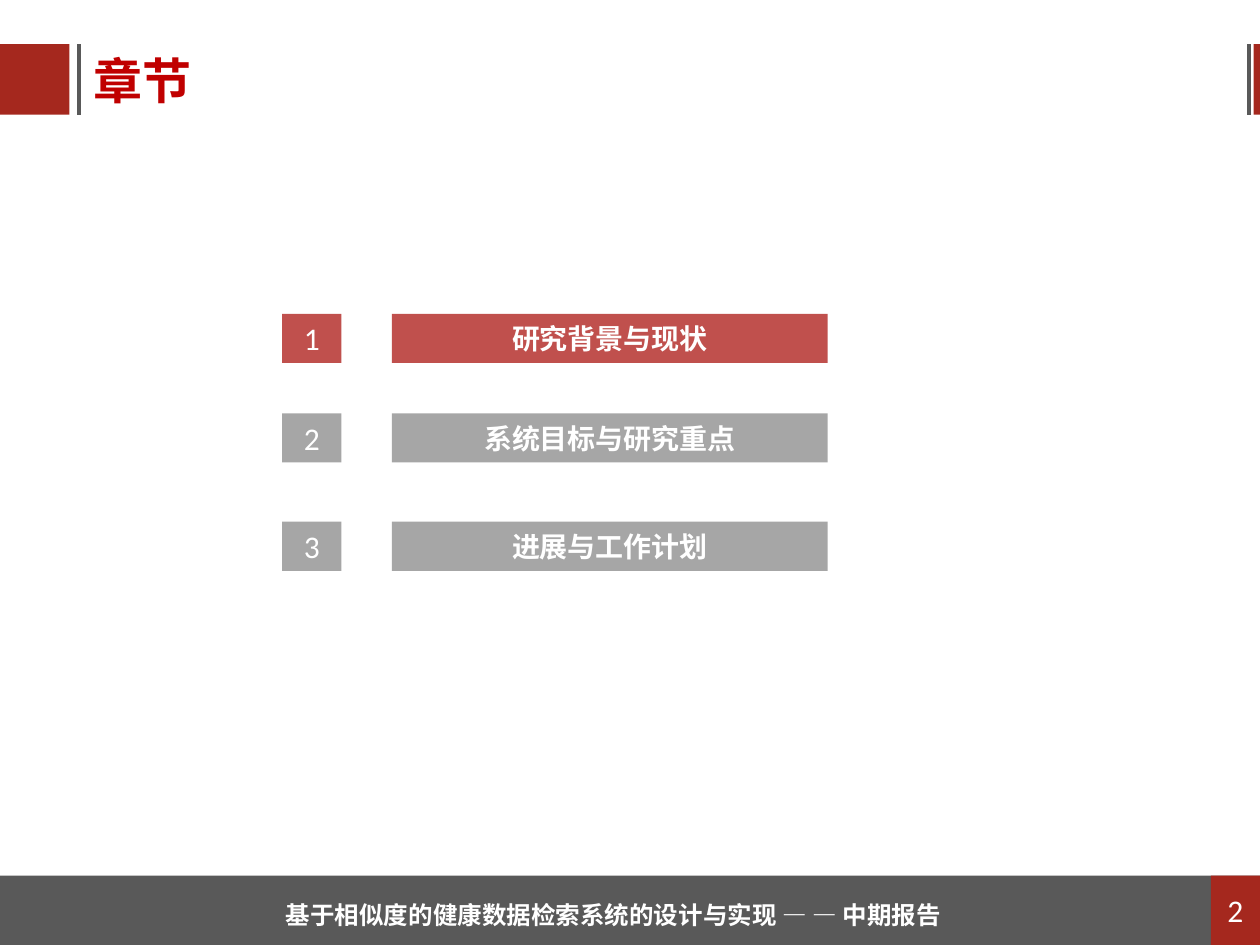
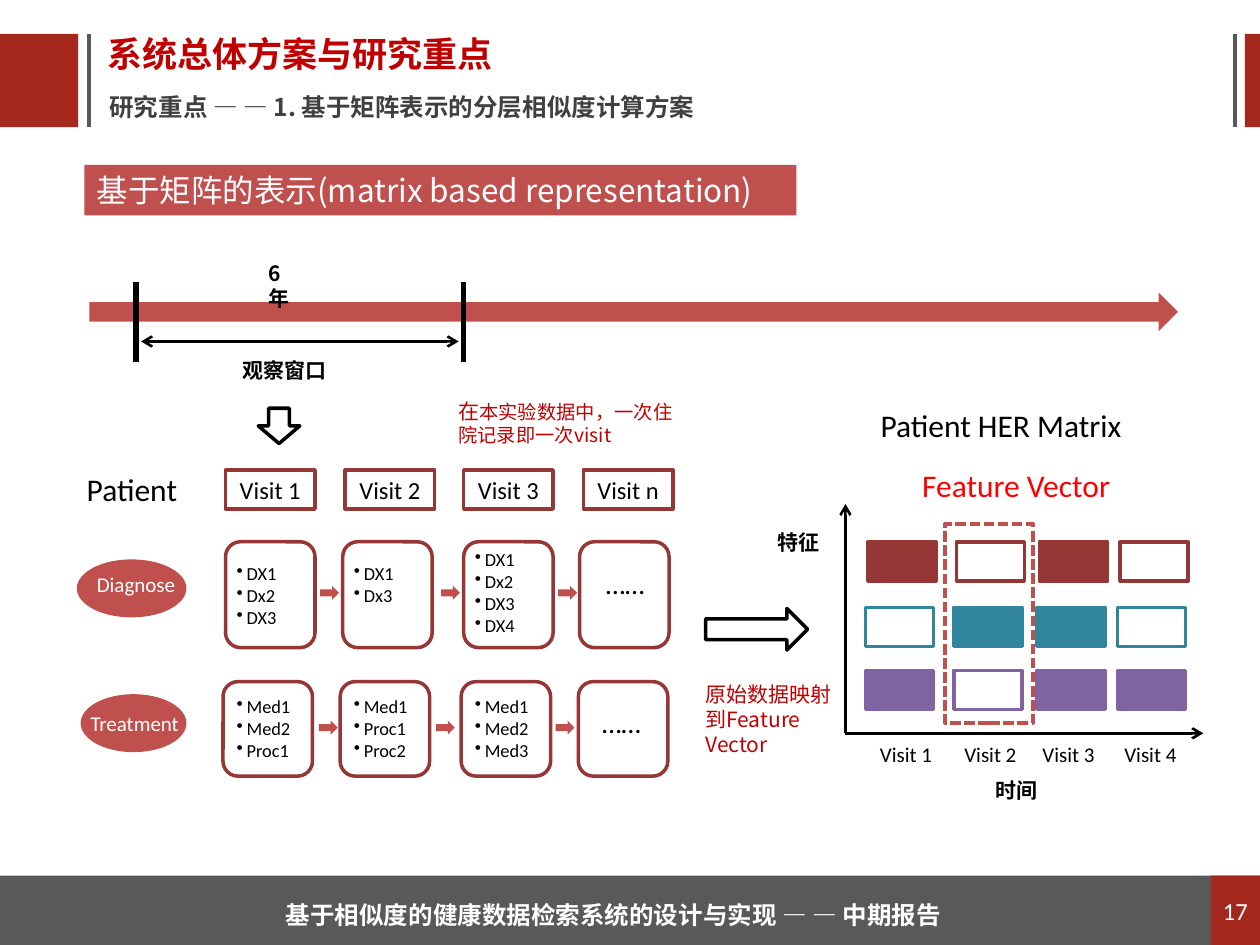
from dataclasses import dataclass
from typing import NamedTuple, Optional

import lxml.etree
import pptx
import pptx.dml.color
import pptx.enum.dml
import pptx.enum.shapes
import pptx.enum.text
import pptx.oxml.ns
import pptx.shapes.autoshape
import pptx.slide
import pptx.text.text
import pptx.util

Inches = pptx.util.Inches
RGBColor = pptx.dml.color.RGBColor
Slide = pptx.slide.Slide
MSO_SHAPE = pptx.enum.shapes.MSO_SHAPE
PP_ALIGN = pptx.enum.text.PP_ALIGN
MSO_ANCHOR = pptx.enum.text.MSO_ANCHOR
qn = pptx.oxml.ns.qn

BRICK = RGBColor(0xA5, 0x28, 0x1E)
TITLE_RED = RGBColor(0xC0, 0x00, 0x00)
ACCENT_RED = RGBColor(0xC0, 0x50, 0x4D)
DARK_RED = RGBColor(0x95, 0x37, 0x35)
BRIGHT_RED = RGBColor(0xFF, 0x00, 0x00)
TEAL = RGBColor(0x31, 0x85, 0x9C)
PURPLE = RGBColor(0x80, 0x64, 0xA2)
SLATE = RGBColor(0x59, 0x59, 0x59)
CHARCOAL = RGBColor(0x40, 0x40, 0x40)
GRAY = RGBColor(0xA6, 0xA6, 0xA6)
BLACK = RGBColor(0x00, 0x00, 0x00)
WHITE = RGBColor(0xFF, 0xFF, 0xFF)

LATIN = "Calibri"
CHINESE = "Noto Sans CJK SC"
SLIDE_WIDTH = 10
FOOTER = "基于相似度的健康数据检索系统的设计与实现 — — 中期报告"


class Box(NamedTuple):
    left: float
    top: float
    width: float
    height: float


class Point(NamedTuple):
    x: float
    y: float


@dataclass(frozen=True)
class TextStyle:
    size: float
    color: RGBColor = BLACK
    font: str = LATIN
    bold: bool = False


@dataclass(frozen=True)
class HeaderBand:
    top: float
    height: float
    block_width: float
    left_rule: float
    right_rule: float
    right_block: float


@dataclass(frozen=True)
class RecordRow:
    label: str
    ellipse: Box
    label_box: Box
    top: float
    height: float
    lefts: tuple[float, ...]
    arrow_lefts: tuple[float, ...]
    arrow_top: float
    text_tops: tuple[float, ...]
    records: tuple[str, ...]
    dots: Box


@dataclass(frozen=True)
class MatrixRow:
    left_shift: float
    top: float
    color: RGBColor
    filled: tuple[bool, ...]


LABEL = TextStyle(12, font=CHINESE, bold=True)
NOTE = TextStyle(12, TITLE_RED, CHINESE)
HEADING = TextStyle(18)


def lengths(box: Box) -> list[int]:
    return [Inches(value) for value in box]


def add_run(paragraph: pptx.text.text._Paragraph, text: str, style: TextStyle) -> None:
    run = paragraph.add_run()
    run.text = text
    run.font.size = pptx.util.Pt(style.size)
    run.font.bold = style.bold
    run.font.color.rgb = style.color
    run.font.name = style.font
    properties = run._r.get_or_add_rPr()
    lxml.etree.SubElement(properties, qn("a:ea")).set("typeface", style.font)


def indent(paragraph: pptx.text.text._Paragraph, margin: float, first: float, bullet: str = "") -> None:
    properties = paragraph._p.get_or_add_pPr()
    properties.set("marL", str(Inches(margin)))
    properties.set("indent", str(Inches(first)))
    if bullet:
        lxml.etree.SubElement(properties, qn("a:buChar")).set("char", bullet)


def add_shape(slide: Slide, kind: MSO_SHAPE, box: Box, fill: Optional[RGBColor] = None,
              line: Optional[RGBColor] = None) -> pptx.shapes.autoshape.Shape:
    shape = slide.shapes.add_shape(kind, *lengths(box))
    shape.shadow.inherit = False
    if fill is None:
        shape.fill.background()
    else:
        shape.fill.solid()
        shape.fill.fore_color.rgb = fill
    if line is None:
        shape.line.fill.background()
    else:
        shape.line.color.rgb = line
        shape.line.width = pptx.util.Pt(2)
    return shape


def add_label_shape(slide: Slide, box: Box, text: str, style: TextStyle, fill: Optional[RGBColor] = None,
                    line: Optional[RGBColor] = None, alignment: PP_ALIGN = PP_ALIGN.CENTER) -> None:
    frame = add_shape(slide, MSO_SHAPE.RECTANGLE, box, fill, line).text_frame
    frame.word_wrap = False
    frame.vertical_anchor = MSO_ANCHOR.MIDDLE
    frame.paragraphs[0].alignment = alignment
    add_run(frame.paragraphs[0], text, style)


def add_text(slide: Slide, box: Box, text: str, style: TextStyle, wrap: bool = False,
             inset: bool = True, alignment: PP_ALIGN = PP_ALIGN.LEFT) -> pptx.text.text._Paragraph:
    frame = slide.shapes.add_textbox(*lengths(box)).text_frame
    frame.word_wrap = wrap
    frame.auto_size = pptx.enum.text.MSO_AUTO_SIZE.SHAPE_TO_FIT_TEXT
    if not inset:
        frame.margin_left = frame.margin_right = frame.margin_top = frame.margin_bottom = 0
    paragraph = frame.paragraphs[0]
    paragraph.alignment = alignment
    add_run(paragraph, text, style)
    return paragraph


def add_bullets(slide: Slide, box: Box, items: list[str]) -> None:
    frame = slide.shapes.add_textbox(*lengths(box)).text_frame
    frame.word_wrap = True
    for index, item in enumerate(items):
        paragraph = frame.add_paragraph() if index else frame.paragraphs[0]
        indent(paragraph, 0.12, -0.08, "•")
        add_run(paragraph, item, TextStyle(10.5))


def add_line(slide: Slide, start: Point, end: Point, color: RGBColor, width: float,
             head: bool = False, tail: bool = False) -> None:
    connector = slide.shapes.add_connector(
        pptx.enum.shapes.MSO_CONNECTOR.STRAIGHT, *[Inches(value) for value in (*start, *end)])
    connector.line.color.rgb = color
    connector.line.width = pptx.util.Pt(width)
    line = connector.line._get_or_add_ln()
    for tag, wanted in (("a:headEnd", head), ("a:tailEnd", tail)):
        if wanted:
            lxml.etree.SubElement(line, qn(tag)).set("type", "arrow")
    lxml.etree.SubElement(connector._element.spPr, qn("a:effectLst"))


def add_header(slide: Slide, band: HeaderBand) -> None:
    right_width = SLIDE_WIDTH - band.right_block
    for left, width in ((0, band.block_width), (band.right_block, right_width)):
        add_shape(slide, MSO_SHAPE.RECTANGLE, Box(left, band.top, width, band.height), BRICK)
    for x in (band.left_rule, band.right_rule):
        add_line(slide, Point(x, band.top), Point(x, band.top + band.height), SLATE, 2.25)


def add_title(slide: Slide, box: Box, text: str, size: float) -> None:
    add_text(slide, box, text, TextStyle(size, TITLE_RED, CHINESE, True), inset=False)


def add_footer(slide: Slide, number: str, number_size: float) -> None:
    add_shape(slide, MSO_SHAPE.RECTANGLE, Box(0, 6.95, SLIDE_WIDTH, 0.55), SLATE)
    add_label_shape(slide, Box(9.61, 6.95, 0.39, 0.55), number, TextStyle(number_size, WHITE), BRICK)
    paragraph = add_text(slide, Box(2.17, 6.98, 5.51, 0.45), FOOTER, TextStyle(14, WHITE, CHINESE, True))
    paragraph.line_spacing = 1.5


def build_agenda(slide: Slide) -> None:
    add_header(slide, HeaderBand(0.35, 0.56, 0.55, 0.63, 9.91, 9.95))
    add_title(slide, Box(0.74, 0.4, 0.79, 0.47), "章节", 28)
    chapters = (
        (2.49, "研究背景与现状", ACCENT_RED),
        (3.28, "系统目标与研究重点", GRAY),
        (4.14, "进展与工作计划", GRAY),
    )
    for number, (top, chapter, fill) in enumerate(chapters, 1):
        add_label_shape(slide, Box(2.24, top, 0.47, 0.39), str(number), TextStyle(18, WHITE), fill)
        add_label_shape(slide, Box(3.11, top, 3.46, 0.39), chapter, TextStyle(16, WHITE, CHINESE, True), fill)
    add_footer(slide, "2", 18)


def add_timeline(slide: Slide) -> None:
    add_shape(slide, MSO_SHAPE.RIGHT_ARROW, Box(0.71, 2.32, 8.64, 0.31), ACCENT_RED)
    for x in (1.08, 3.68):
        add_line(slide, Point(x, 2.24), Point(x, 2.87), BLACK, 3)
    add_line(slide, Point(1.12, 2.71), Point(3.64, 2.71), BLACK, 1.5, head=True, tail=True)
    add_text(slide, Box(1.83, 2.79, 0.88, 0.3), "观察窗口", LABEL)
    add_text(slide, Box(2.03, 2.02, 0.42, 0.3), "6年", LABEL, wrap=True)
    add_shape(slide, MSO_SHAPE.DOWN_ARROW, Box(2.05, 3.24, 0.33, 0.28), line=BLACK)


def add_record_row(slide: Slide, row: RecordRow) -> None:
    add_shape(slide, MSO_SHAPE.OVAL, row.ellipse, ACCENT_RED)
    add_text(slide, row.label_box, row.label, TextStyle(12, WHITE))
    for left in row.lefts:
        add_shape(slide, MSO_SHAPE.ROUNDED_RECTANGLE, Box(left, row.top, 0.71, row.height), line=DARK_RED)
    for left in row.arrow_lefts:
        add_shape(slide, MSO_SHAPE.RIGHT_ARROW, Box(left, row.arrow_top, 0.15, 0.11), ACCENT_RED)
    for left, top, record in zip((1.74, 2.67, 3.63), row.text_tops, row.records):
        add_bullets(slide, Box(left, top, 0.94, 0.81), record.split())
    indent(add_text(slide, row.dots, "……", TextStyle(16), wrap=True), 0.04, 0)


def add_patient_records(slide: Slide) -> None:
    add_text(slide, Box(0.59, 3.68, 0.93, 0.4), "Patient", HEADING)
    for left, visit in zip((1.79, 2.74, 3.68, 4.63), "123n"):
        add_label_shape(slide, Box(left, 3.73, 0.71, 0.31), f"Visit {visit}", TextStyle(14), line=DARK_RED)
    rows = (
        RecordRow("Diagnose", Box(0.61, 4.44, 0.87, 0.46), Box(0.67, 4.49, 0.83, 0.3), 4.3, 0.84,
                  (1.79, 2.72, 3.68, 4.6), (2.54, 3.5, 4.43), 4.65, (4.41, 4.41, 4.3),
                  ("DX1 Dx2 DX3", "DX1 Dx3", "DX1 Dx2 DX3 DX4"), Box(4.67, 4.45, 0.94, 0.55)),
        RecordRow("Treatment", Box(0.64, 5.51, 0.84, 0.46), Box(0.62, 5.59, 0.91, 0.3), 5.41, 0.75,
                  (1.77, 2.7, 3.66, 4.59), (2.53, 3.46, 4.41), 5.72, (5.47, 5.47, 5.47),
                  ("Med1 Med2 Proc1", "Med1 Proc1 Proc2", "Med1 Med2 Med3"), Box(4.64, 5.55, 0.94, 0.55)),
    )
    for row in rows:
        add_record_row(slide, row)
    paragraph = add_text(slide, Box(3.54, 3.11, 1.93, 0.49), "在", NOTE, wrap=True)
    add_run(paragraph, "本实验数据中，一次住院记录即一次visit", TextStyle(11, TITLE_RED, CHINESE))


def add_feature_matrix(slide: Slide) -> None:
    origin = Point(6.71, 5.82)
    for end in (Point(9.55, origin.y), Point(origin.x, 4)):
        add_line(slide, origin, end, BLACK, 1.5, tail=True)
    add_text(slide, Box(7.8, 6.12, 0.54, 0.3), "时间", LABEL)
    add_text(slide, Box(6.07, 4.15, 0.54, 0.3), "特征", LABEL)
    rows = (
        MatrixRow(0, 4.3, DARK_RED, (True, False, True, False)),
        MatrixRow(-0.02, 4.82, TEAL, (False, True, True, False)),
        MatrixRow(-0.02, 5.32, PURPLE, (True, False, True, True)),
    )
    for row in rows:
        for left, filled in zip((6.89, 7.59, 8.25, 8.89), row.filled):
            add_shape(slide, MSO_SHAPE.RECTANGLE, Box(left + row.left_shift, row.top, 0.54, 0.31),
                      row.color if filled else None, row.color)
    for visit, left in enumerate((6.88, 7.55, 8.17, 8.82), 1):
        add_text(slide, Box(left, 5.84, 0.62, 0.3), f"Visit {visit}", TextStyle(12), alignment=PP_ALIGN.CENTER)
    add_text(slide, Box(6.89, 3.17, 2.13, 0.4), "Patient HER Matrix", HEADING)
    vector_frame = add_shape(slide, MSO_SHAPE.RECTANGLE, Box(7.5, 4.16, 0.7, 1.58), line=ACCENT_RED)
    vector_frame.line.dash_style = pptx.enum.dml.MSO_LINE.SQUARE_DOT
    add_text(slide, Box(7.22, 3.65, 1.71, 0.4), "Feature Vector", TextStyle(18, BRIGHT_RED))


def build_research_focus(slide: Slide) -> None:
    add_header(slide, HeaderBand(0.27, 0.74, 0.62, 0.71, 9.8, 9.88))
    add_title(slide, Box(0.85, 0.26, 3.09, 0.34), "系统总体方案与研究重点", 20)
    add_text(slide, Box(0.77, 0.68, 5.18, 0.34), "研究重点 — — 1. 基于矩阵表示的分层相似度计算方案",
             TextStyle(14, CHARCOAL, CHINESE, True), wrap=True)
    add_label_shape(slide, Box(0.67, 1.31, 5.65, 0.4), "基于矩阵的表示(matrix based representation)",
                    TextStyle(18, WHITE, CHINESE), ACCENT_RED, alignment=PP_ALIGN.LEFT)
    add_timeline(slide)
    add_patient_records(slide)
    add_shape(slide, MSO_SHAPE.RIGHT_ARROW, Box(5.6, 4.83, 0.81, 0.33), line=BLACK)
    add_text(slide, Box(5.5, 5.36, 1.34, 0.71), "原始数据映射到Feature Vector", NOTE, wrap=True)
    add_feature_matrix(slide)
    add_footer(slide, "17", 14)


def main() -> None:
    presentation = pptx.Presentation()
    presentation.slide_width = Inches(SLIDE_WIDTH)
    presentation.slide_height = Inches(7.5)
    for build in (build_agenda, build_research_focus):
        build(presentation.slides.add_slide(presentation.slide_layouts[6]))
    presentation.save("out.pptx")


if __name__ == "__main__":
    main()
